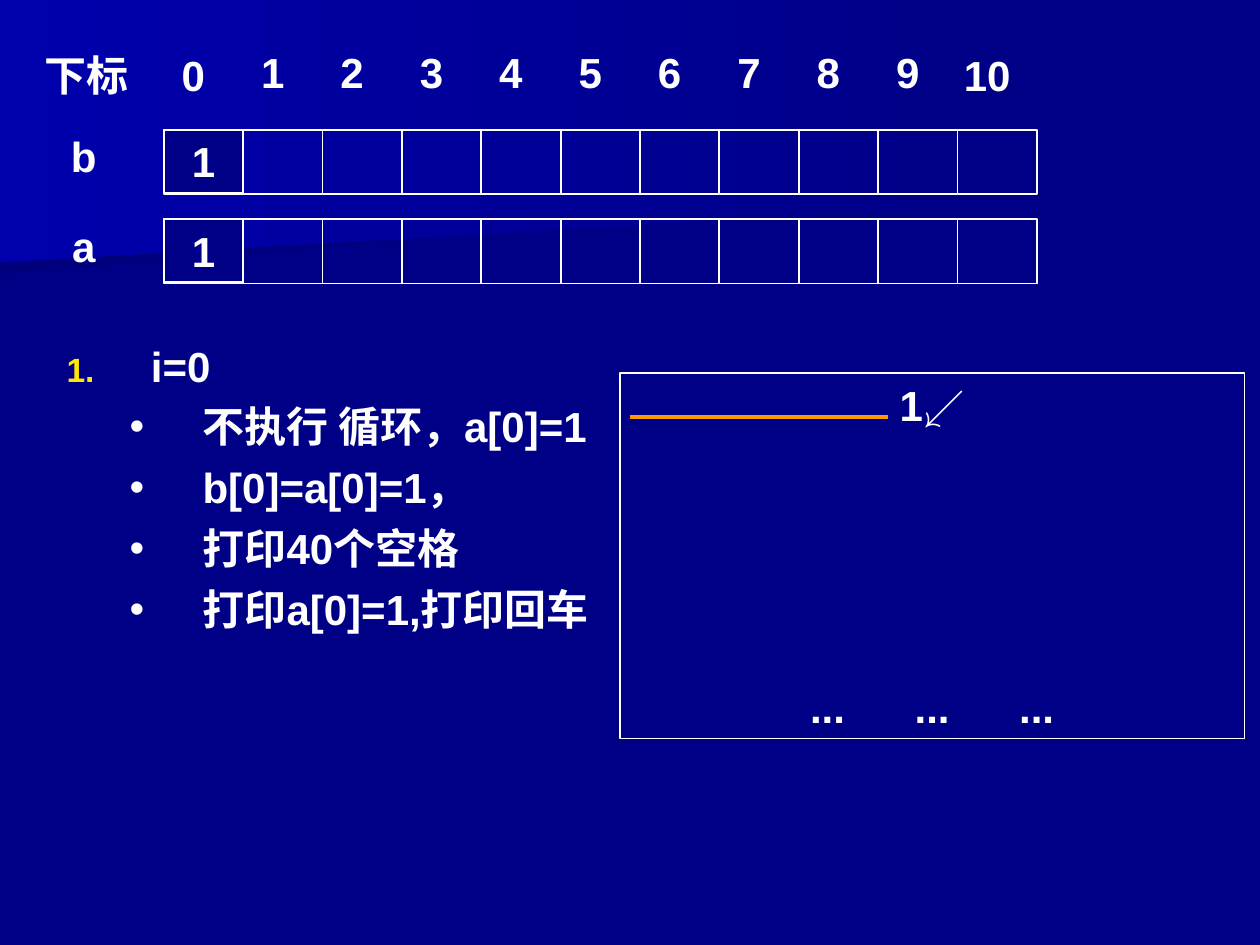
"""Build the slide showing arrays a and b at step i=0 of the triangle printing."""
from lxml.etree import SubElement
from pptx import Presentation
from pptx.dml.color import RGBColor as Color
from pptx.enum.shapes import MSO_CONNECTOR as Connector, MSO_SHAPE as Shape
from pptx.enum.text import MSO_ANCHOR as Anchor, PP_ALIGN as Align
from pptx.oxml.ns import qn
from pptx.util import Inches, Pt

COLORS = {
    "background": "000086",
    "shade": "00007D",
    "glow": "0000AC",
    "white": "FFFFFF",
    "number": "FFE701",
    "blank_run": "FF9900",
}
CELL_WIDTH, CELL_HEIGHT, COLUMNS = 0.63, 0.51, 11
GRID_LEFT = 1.3
ROW_TOPS = {"a": 1.74, "b": 1.03}
LABEL_HEIGHT = 0.5


def write(shape, text, align=Align.CENTER, anchor=Anchor.TOP, before=0, new=False):
    frame = shape.text_frame
    frame.word_wrap = True
    frame.vertical_anchor = anchor
    paragraph = frame.add_paragraph() if new else frame.paragraphs[0]
    paragraph.alignment = align
    paragraph.space_before = Pt(before)
    run = paragraph.add_run()
    run.text = text
    run.font.name = "Arial"
    run.font.size = Pt(24)
    run.font.bold = True
    run.font.color.rgb = Color.from_string(COLORS["white"])
    return paragraph


def add_box(left, top, width, height, fill=None, line=1):
    box = slide.shapes.add_shape(
        Shape.RECTANGLE, Inches(left), Inches(top), Inches(width), Inches(height))
    box.shadow.inherit = False
    box.line.color.rgb = Color.from_string(COLORS["white"])
    box.line.width = Pt(line)
    if fill:
        box.fill.solid()
        box.fill.fore_color.rgb = Color.from_string(COLORS[fill])
    else:
        box.fill.background()
    return box


presentation = Presentation()
presentation.slide_width, presentation.slide_height = Inches(10), Inches(7.5)
slide = presentation.slides.add_slide(presentation.slide_layouts[6])
slide.background.fill.solid()
slide.background.fill.fore_color.rgb = Color.from_string(COLORS["background"])

bands = [
    ("shade", [(0, 1.01), (7.79, 1.01), (7.78, 1.53), (0, 2.17)]),
    ("glow", [(0, 0), (7.92, 0), (7.92, 1.62), (0, 2.08)]),
]
for end_color, corners in bands:
    points = [(Inches(x), Inches(y)) for x, y in corners]
    builder = slide.shapes.build_freeform(*points[0])
    builder.add_line_segments(points[1:], close=True)
    band = builder.convert_to_shape()
    band.shadow.inherit = False
    band.line.fill.background()
    band.fill.gradient()
    band.fill.gradient_angle = 180
    for stop, name in zip(band.fill.gradient_stops, ("background", end_color)):
        stop.color.rgb = Color.from_string(COLORS[name])

for top in ROW_TOPS.values():
    for column in range(COLUMNS):
        add_box(GRID_LEFT + column * CELL_WIDTH, top, CELL_WIDTH, CELL_HEIGHT)
    first_cell = add_box(GRID_LEFT, top, CELL_WIDTH, LABEL_HEIGHT, "background")
    write(first_cell, "1")

labels = [("下标", 0.12, 0.34, 1.14)]
labels += [(name, 0.35, top - 0.04, CELL_WIDTH) for name, top in ROW_TOPS.items()]
labels += [
    (str(index), GRID_LEFT - 0.08 + index * CELL_WIDTH,
     0.34 if index in (0, COLUMNS - 1) else 0.32, CELL_WIDTH)
    for index in range(COLUMNS)
]
for text, left, top, width in labels:
    label = slide.shapes.add_textbox(
        Inches(left), Inches(top), Inches(width), Inches(LABEL_HEIGHT))
    write(label, text)

steps = slide.shapes.add_textbox(Inches(0.43), Inches(2.65), Inches(9), Inches(2.76))
step_lines = ["i=0", "不执行 循环，a[0]=1", "b[0]=a[0]=1，", "打印40个空格", "打印a[0]=1,打印回车"]
for position, text in enumerate(step_lines):
    nested = position > 0
    paragraph = write(steps, text, Align.LEFT, before=6 if nested else 0, new=nested)
    paragraph.level = int(nested)
    properties = paragraph._p.get_or_add_pPr()
    properties.set("marL", str(Inches(1.08 if nested else 0.67)))
    properties.set("indent", str(-Inches(0.58 if nested else 0.67)))
    bullet_color = SubElement(properties, qn("a:buClr"))
    SubElement(bullet_color, qn("a:srgbClr"), val=COLORS["white" if nested else "number"])
    if nested:
        SubElement(properties, qn("a:buFont"), typeface="Arial")
        SubElement(properties, qn("a:buChar"), char="•")
    else:
        SubElement(properties, qn("a:buSzPct"), val="80000")
        SubElement(properties, qn("a:buFont"), typeface="Arial")
        SubElement(properties, qn("a:buAutoNum"), type="arabicPeriod")

output = add_box(4.92, 2.96, 4.96, 2.9, line=0.75)
write(output, "1↙", anchor=Anchor.MIDDLE)
dots = write(output, "\t...\t...\t...", Align.LEFT, Anchor.MIDDLE, before=144, new=True)
tabs = SubElement(dots._p.get_or_add_pPr(), qn("a:tabLst"))
for step in (-1, 0, 1):
    SubElement(tabs, qn("a:tab"), pos=str(Inches(2.38 + step * 0.83)), algn="ctr")

blank_run = slide.shapes.add_connector(
    Connector.STRAIGHT, Inches(5), Inches(3.31), Inches(7.05), Inches(3.31))
blank_run.line.color.rgb = Color.from_string(COLORS["blank_run"])
blank_run.line.width = Pt(2.25)
SubElement(blank_run._element.spPr, qn("a:effectLst"))

presentation.save("out.pptx")
